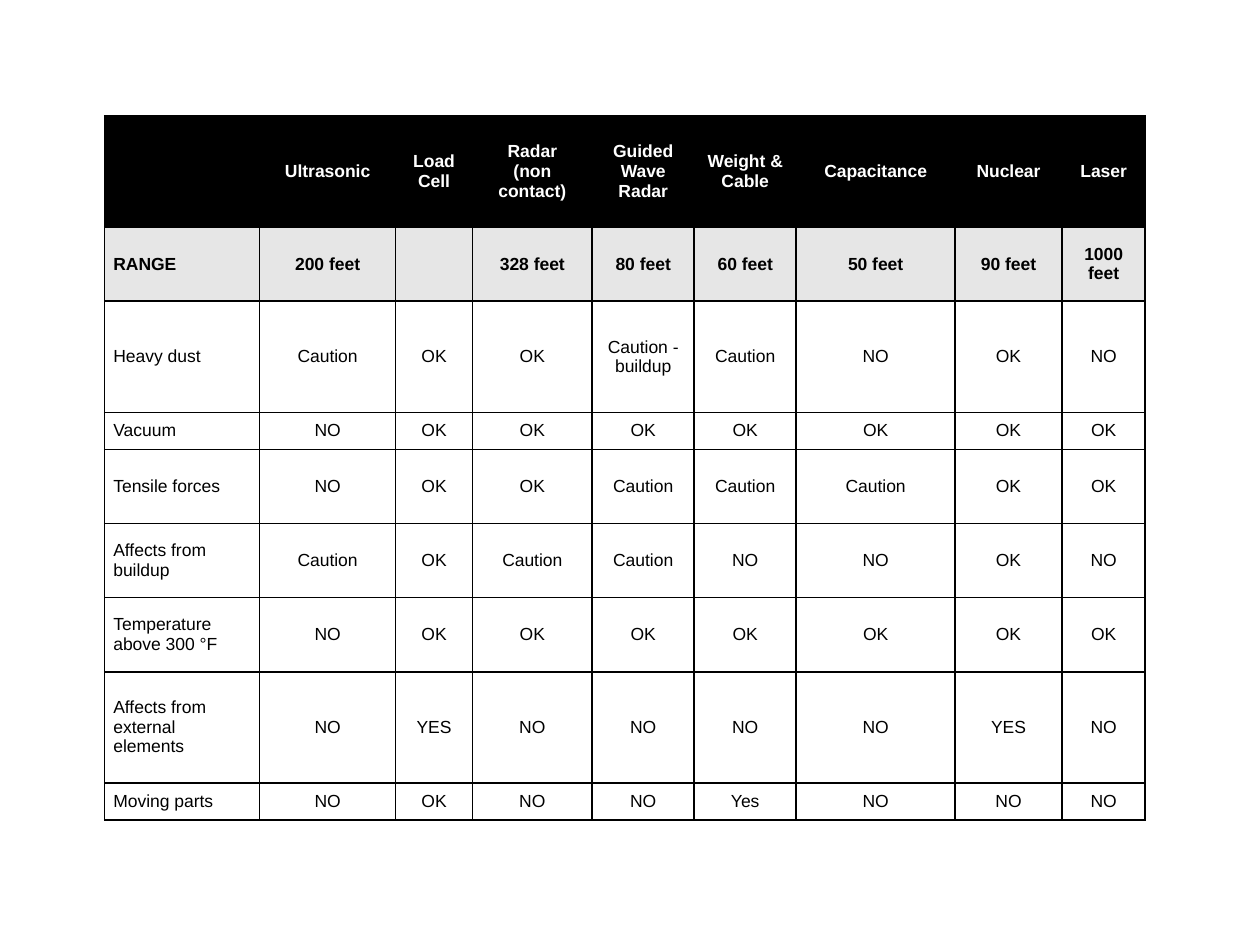
import pptx
import pptx.util
import pptx.dml.color
import pptx.enum.text
import pptx.oxml.ns
import lxml.etree

Inches = pptx.util.Inches
Pt = pptx.util.Pt
Align = pptx.enum.text.PP_ALIGN

COLORS = {"black": "000000", "white": "FFFFFF", "range": "E6E6E6"}
FONT = "Arial"
COLUMN_WIDTHS = [1.23, 1.08, 0.61, 0.95, 0.81, 0.81, 1.26, 0.85, 0.66]
ROW_UNITS = [3, 2, 3, 1, 2, 2, 2, 3, 1]  # heights as multiples of one line row

SENSOR_ROWS = [
    ["", "Ultrasonic", "Load Cell", "Radar\n(non contact)", "Guided Wave Radar",
     "Weight & Cable", "Capacitance", "Nuclear", "Laser"],
    ["RANGE", "200 feet", "", "328 feet", "80 feet", "60 feet", "50 feet",
     "90 feet", "1000 feet"],
    ["Heavy dust", "Caution", "OK", "OK", "Caution - buildup", "Caution", "NO",
     "OK", "NO"],
    ["Vacuum", "NO"] + ["OK"] * 7,
    ["Tensile forces", "NO", "OK", "OK", "Caution", "Caution", "Caution", "OK", "OK"],
    ["Affects from buildup", "Caution", "OK", "Caution", "Caution", "NO", "NO",
     "OK", "NO"],
    ["Temperature above 300 °F", "NO"] + ["OK"] * 7,
    ["Affects from external elements", "NO", "YES", "NO", "NO", "NO", "NO", "YES", "NO"],
    ["Moving parts", "NO", "OK", "NO", "NO", "Yes", "NO", "NO", "NO"],
]


def rgb(name):
    return pptx.dml.color.RGBColor.from_string(COLORS[name])


def add_borders(cell, color, width):
    properties = cell._tc.get_or_add_tcPr()
    qn = pptx.oxml.ns.qn
    for side in ("a:lnL", "a:lnR", "a:lnT", "a:lnB"):
        line = lxml.etree.SubElement(properties, qn(side), w=str(width))
        fill = lxml.etree.SubElement(line, qn("a:solidFill"))
        lxml.etree.SubElement(fill, qn("a:srgbClr"), val=COLORS[color])


def write_cell(cell, text, align, color, bold):
    """Write the text run by run, with a line break at each newline."""
    cell.vertical_anchor = pptx.enum.text.MSO_ANCHOR.MIDDLE
    cell.margin_left = cell.margin_right = Inches(0.07)
    cell.margin_top = cell.margin_bottom = 0
    para = cell.text_frame.paragraphs[0]
    para.alignment = align
    if not text:
        return
    for index, line in enumerate(text.split("\n")):
        if index:
            para.add_line_break()
        span = para.add_run()
        span.text = line
        span.font.name = FONT
        span.font.size = Pt(10)
        span.font.bold = bold
        span.font.color.rgb = rgb(color)


def add_sensor_table(page, left, top, width, height):
    frame = page.shapes.add_table(len(SENSOR_ROWS), len(COLUMN_WIDTHS),
                                  left, top, width, height)
    table = frame.table
    table.first_row = table.horz_banding = False
    for column, column_width in zip(table.columns, COLUMN_WIDTHS):
        column.width = Inches(column_width)
    for row, units in zip(table.rows, ROW_UNITS):
        row.height = int(height * units / sum(ROW_UNITS))

    row_fills = {0: "black", 1: "range"}
    for row_index, texts in enumerate(SENSOR_ROWS):
        for column_index, text in enumerate(texts):
            cell = table.cell(row_index, column_index)
            add_borders(cell, "black", Pt(1))
            if row_index in row_fills:
                cell.fill.solid()
                cell.fill.fore_color.rgb = rgb(row_fills[row_index])
            else:
                cell.fill.background()
            write_cell(cell, text,
                       align=Align.CENTER if column_index else Align.LEFT,
                       color="black" if row_index else "white",
                       bold=row_index in row_fills)


def main():
    deck = pptx.Presentation()
    deck.slide_width, deck.slide_height = Inches(10), Inches(7.5)
    page = deck.slides.add_slide(deck.slide_layouts[6])
    add_sensor_table(page, Inches(0.83), Inches(0.92), Inches(8.27), Inches(5.59))
    deck.save("out.pptx")


if __name__ == "__main__":
    main()
